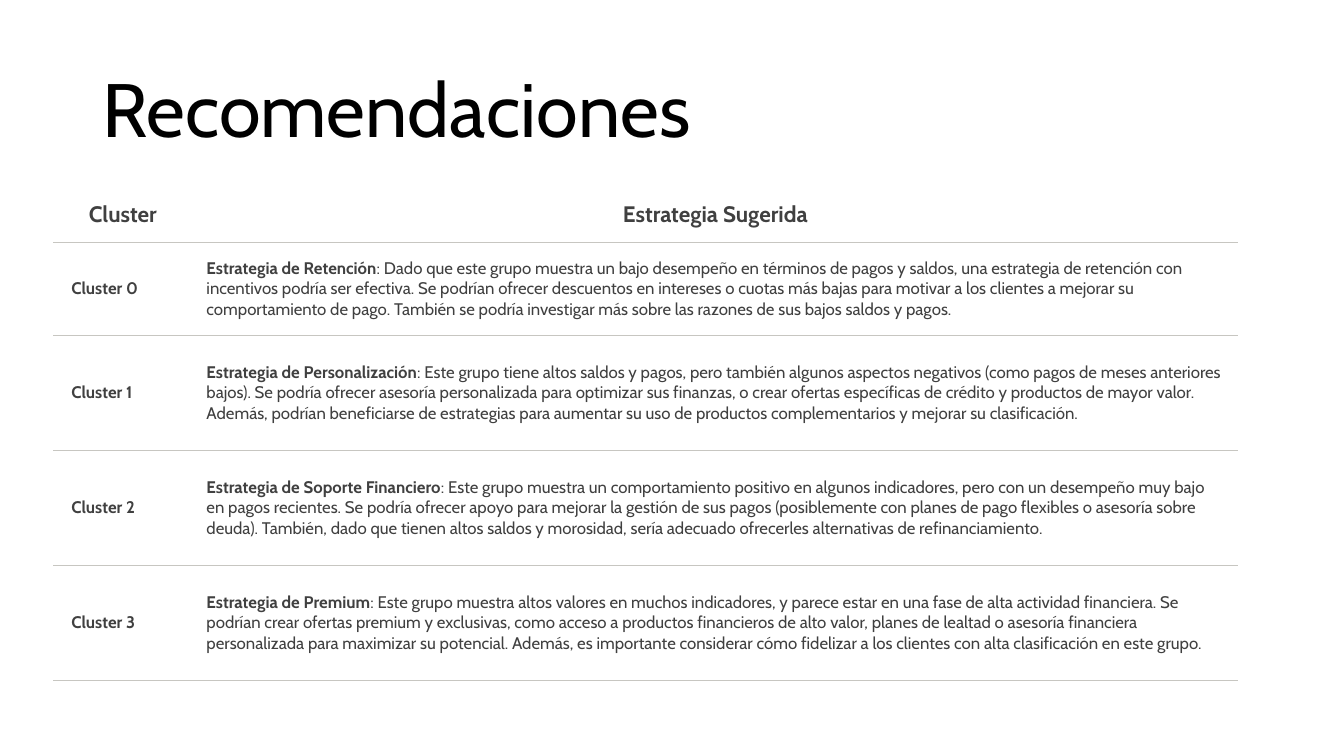
import pptx
import pptx.dml.color
import pptx.enum.text
import pptx.oxml
import pptx.oxml.ns
import pptx.util

Pt = pptx.util.Pt
RGBColor = pptx.dml.color.RGBColor
ALIGN = pptx.enum.text.PP_ALIGN
MIDDLE = pptx.enum.text.MSO_ANCHOR.MIDDLE

# Content
TITLE = "Recomendaciones"
HEADINGS = ("Cluster", "Estrategia Sugerida")
STRATEGIES = [
    ("Cluster 0", "Estrategia de Retención",
     ": Dado que este grupo muestra un bajo desempeño en términos de pagos y saldos, una "
     "estrategia de retención con incentivos podría ser efectiva. Se podrían ofrecer descuentos "
     "en intereses o cuotas más bajas para motivar a los clientes a mejorar su comportamiento de "
     "pago. También se podría investigar más sobre las razones de sus bajos saldos y pagos."),
    ("Cluster 1", "Estrategia de Personalización",
     ": Este grupo tiene altos saldos y pagos, pero también algunos aspectos negativos (como "
     "pagos de meses anteriores bajos). Se podría ofrecer asesoría personalizada para optimizar "
     "sus finanzas, o crear ofertas específicas de crédito y productos de mayor valor. Además, "
     "podrían beneficiarse de estrategias para aumentar su uso de productos complementarios y "
     "mejorar su clasificación."),
    ("Cluster 2", "Estrategia de Soporte Financiero",
     ": Este grupo muestra un comportamiento positivo en algunos indicadores, pero con un "
     "desempeño muy bajo en pagos recientes. Se podría ofrecer apoyo para mejorar la gestión de "
     "sus pagos (posiblemente con planes de pago flexibles o asesoría sobre deuda). También, dado "
     "que tienen altos saldos y morosidad, sería adecuado ofrecerles alternativas de "
     "refinanciamiento."),
    ("Cluster 3", "Estrategia de Premium",
     ": Este grupo muestra altos valores en muchos indicadores, y parece estar en una fase de "
     "alta actividad financiera. Se podrían crear ofertas premium y exclusivas, como acceso a "
     "productos financieros de alto valor, planes de lealtad o asesoría financiera personalizada "
     "para maximizar su potencial. Además, es importante considerar cómo fidelizar a los clientes "
     "con alta clasificación en este grupo."),
]

# Style and measures in points
FONT = "Cabin"
BLACK = RGBColor(0x00, 0x00, 0x00)
GREY = RGBColor(0x40, 0x40, 0x40)
RULE = RGBColor(0xC7, 0xC6, 0xC1)
TABLE_LEFT, TABLE_TOP = 38, 133
COLUMN_WIDTHS = (96.5, 750)
ROW_HEIGHTS = (40, 66.4, 82.2, 82.2, 82.2)
PLAIN_STYLE = "{2D5ABB26-0587-4C30-8999-92F81FD0307C}"


def format_span(span, size, color, bold=False):
    span.font.name = FONT
    span.font.size = Pt(size)
    span.font.color.rgb = color
    span.font.bold = bold


def fill_cell(cell, parts, size, alignment):
    """Write (text, bold) parts into a cell and rule its lower edge."""
    cell.vertical_anchor = MIDDLE
    cell.margin_left, cell.margin_right = Pt(13), Pt(10)
    cell.margin_top = cell.margin_bottom = Pt(6.5)
    para = cell.text_frame.paragraphs[0]
    para.alignment = alignment
    for text, bold in parts:
        span = para.add_run()
        span.text = text
        format_span(span, size, GREY, bold)
    cell.fill.background()
    border = pptx.oxml.parse_xml(
        f'<a:lnB {pptx.oxml.ns.nsdecls("a")} w="{Pt(0.75)}"><a:solidFill>'
        f'<a:srgbClr val="{RULE}"/></a:solidFill></a:lnB>')
    cell._tc.get_or_add_tcPr().insert(0, border)


def add_title(page):
    title = page.shapes.title
    title.left, title.top, title.width, title.height = Pt(66), Pt(29), Pt(828), Pt(104)
    frame = title.text_frame
    frame.text = TITLE
    frame.vertical_anchor = MIDDLE
    frame.auto_size = pptx.enum.text.MSO_AUTO_SIZE.NONE
    para = frame.paragraphs[0]
    para.alignment = ALIGN.LEFT
    para.line_spacing = 0.9
    format_span(para.runs[0], 54, BLACK)


def add_strategy_table(page):
    table = page.shapes.add_table(
        len(ROW_HEIGHTS), len(COLUMN_WIDTHS), Pt(TABLE_LEFT), Pt(TABLE_TOP),
        Pt(sum(COLUMN_WIDTHS)), Pt(sum(ROW_HEIGHTS))).table
    table.first_row = table.horz_banding = False
    table._tbl.tblPr.find(pptx.oxml.ns.qn("a:tableStyleId")).text = PLAIN_STYLE
    for column, width in zip(table.columns, COLUMN_WIDTHS):
        column.width = Pt(width)
    for row, height in zip(table.rows, ROW_HEIGHTS):
        row.height = Pt(height)

    # Header row, then one row per cluster
    for index, heading in enumerate(HEADINGS):
        fill_cell(table.cell(0, index), [(heading, True)], 16, ALIGN.CENTER)
    for index, (cluster, name, advice) in enumerate(STRATEGIES, start=1):
        fill_cell(table.cell(index, 0), [(cluster, True)], 12, ALIGN.LEFT)
        fill_cell(table.cell(index, 1), [(name, True), (advice, False)], 12, ALIGN.LEFT)


def main():
    deck = pptx.Presentation()
    deck.slide_width, deck.slide_height = Pt(960), Pt(540)
    page = deck.slides.add_slide(deck.slide_layouts[5])
    add_title(page)
    add_strategy_table(page)
    deck.save("out.pptx")


if __name__ == "__main__":
    main()
